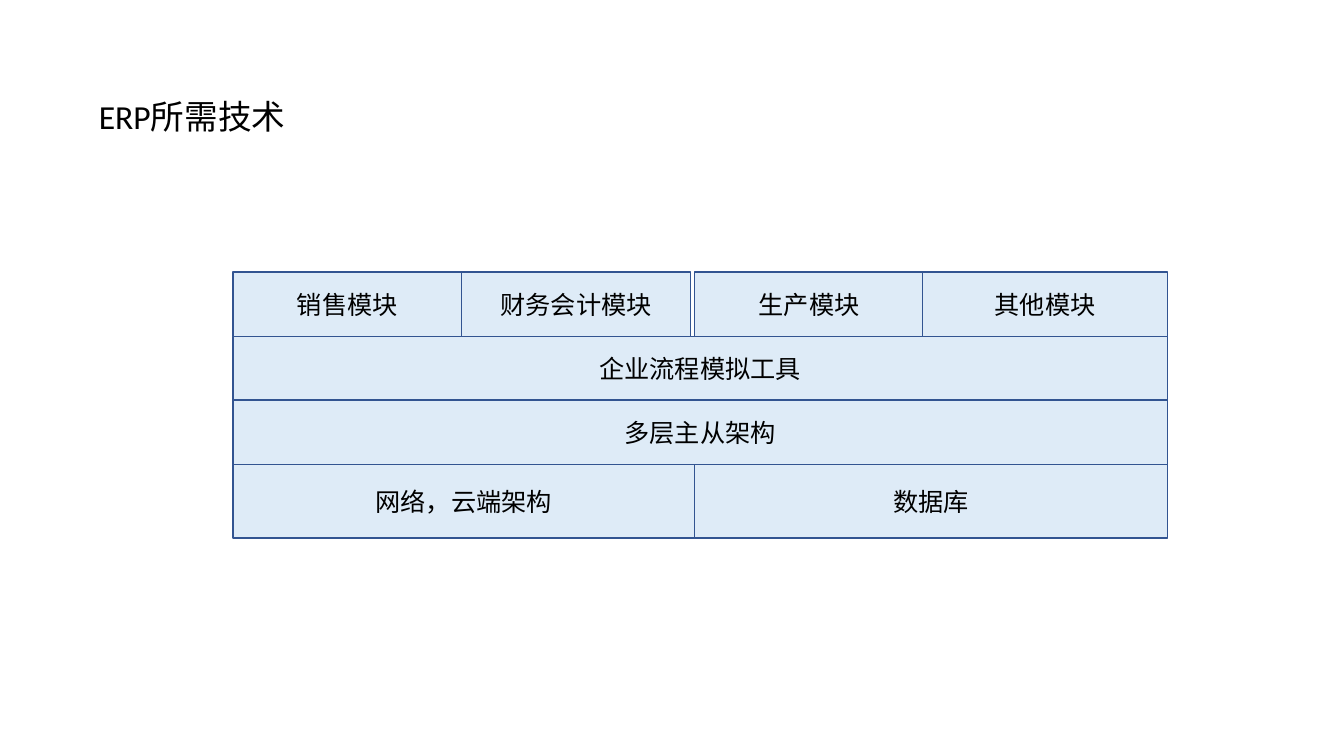
"""Build the slide on the technology layers behind ERP."""
from pptx import Presentation
from pptx.dml.color import RGBColor
from pptx.enum import shapes, text
from pptx.util import Inches, Pt

BLACK = RGBColor(0x00, 0x00, 0x00)
PALE_BLUE = RGBColor(0xDE, 0xEB, 0xF7)
EDGE_BLUE = RGBColor(0x32, 0x54, 0x91)

LEFT, RIGHT, MIDDLE = 2.31, 11.58, 6.89
MODULE_WIDTH = 2.27

LAYERS = [
    (2.7, 0.64, [("销售模块", LEFT, MODULE_WIDTH),
                 ("财务会计模块", LEFT + MODULE_WIDTH, MODULE_WIDTH),
                 ("生产模块", MIDDLE, MODULE_WIDTH),
                 ("其他模块", 9.15, RIGHT - 9.15)]),
    (3.34, 0.64, [("企业流程模拟工具", LEFT, RIGHT - LEFT)]),
    (3.97, 0.64, [("多层主从架构", LEFT, RIGHT - LEFT)]),
    (4.61, 0.73, [("网络，云端架构", LEFT, MIDDLE - LEFT),
                  ("数据库", MIDDLE, RIGHT - MIDDLE)]),
]


def write(frame, wording, size=18, align=text.PP_ALIGN.CENTER,
          anchor=text.MSO_ANCHOR.MIDDLE, line_spacing=None, space_before=None):
    """Put one formatted paragraph into a text frame."""
    frame.word_wrap = True
    frame.auto_size = text.MSO_AUTO_SIZE.NONE
    frame.vertical_anchor = anchor
    paragraph = frame.paragraphs[0]
    paragraph.alignment = align
    paragraph.line_spacing = line_spacing
    paragraph.space_before = space_before
    run = paragraph.add_run()
    run.text = wording
    run.font.name = "Calibri"
    run.font.size = Pt(size)
    run.font.color.rgb = BLACK


def add_block(slide, wording, left, top, width, height):
    """Draw one labelled block of the technology stack."""
    block = slide.shapes.add_shape(
        shapes.MSO_SHAPE.RECTANGLE,
        Inches(left), Inches(top), Inches(width), Inches(height))
    block.shadow.inherit = False
    block.fill.solid()
    block.fill.fore_color.rgb = PALE_BLUE
    block.line.color.rgb = EDGE_BLUE
    block.line.width = Pt(1)
    write(block.text_frame, wording)


def add_heading(slide, wording):
    """Use the subtitle placeholder for the heading and drop the empty title."""
    title = slide.shapes.title.element
    title.getparent().remove(title)
    heading = slide.placeholders[1]
    heading.left, heading.top = Inches(0.88), Inches(0.95)
    heading.width, heading.height = Inches(11.65), Inches(5.74)
    write(heading.text_frame, wording, size=24, align=text.PP_ALIGN.LEFT,
          anchor=text.MSO_ANCHOR.TOP, line_spacing=0.9, space_before=Pt(10))


def main():
    """Create the presentation and save it."""
    deck = Presentation()
    deck.slide_width, deck.slide_height = Inches(13.33), Inches(7.5)
    slide = deck.slides.add_slide(deck.slide_layouts[0])
    add_heading(slide, "ERP所需技术")
    modules, *foundations = LAYERS
    for top, height, blocks in [*foundations, modules]:
        for wording, left, width in blocks:
            add_block(slide, wording, left, top, width, height)
    deck.save("out.pptx")


if __name__ == "__main__":
    main()
